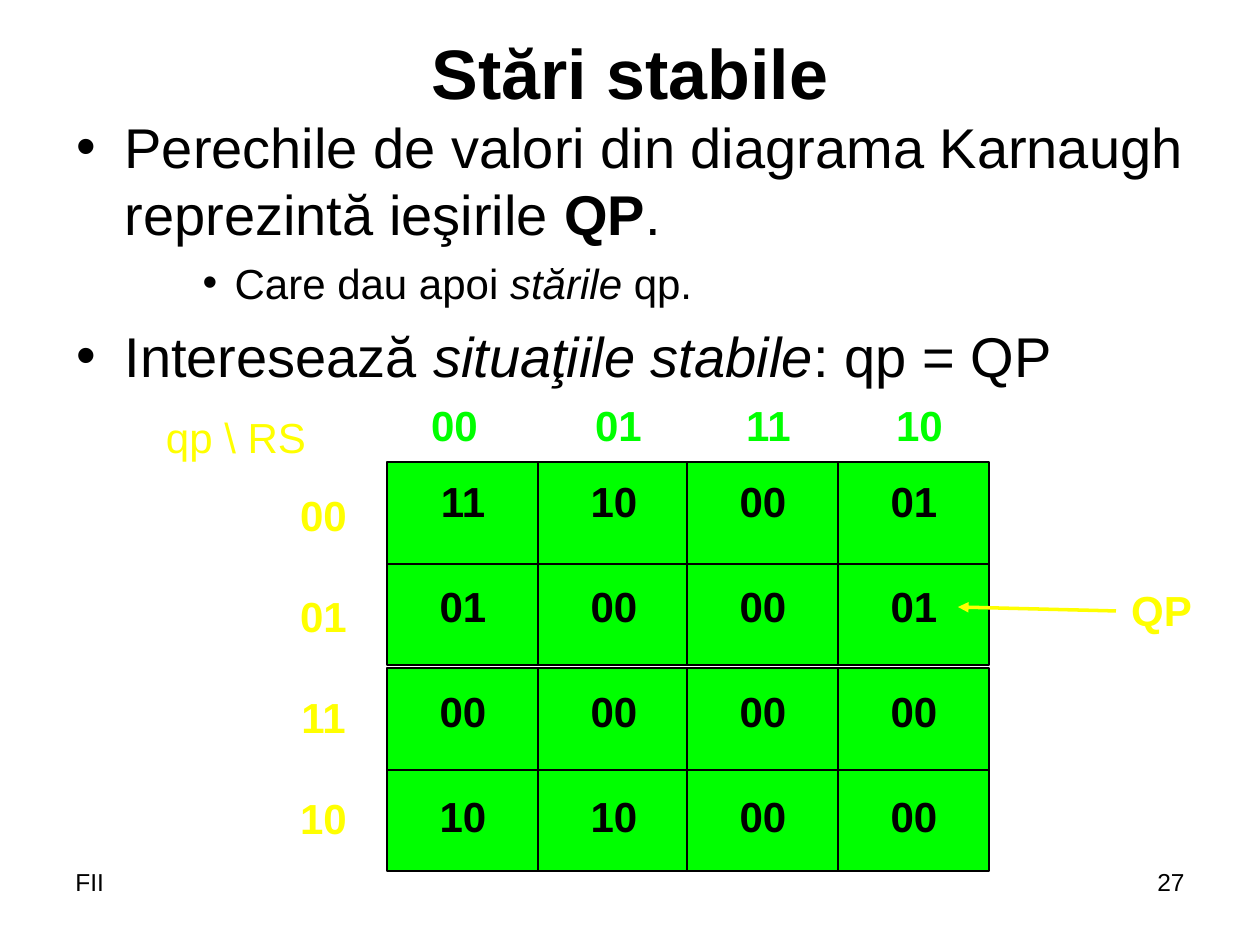
from lxml import etree
from pptx import Presentation
from pptx.dml.color import RGBColor
from pptx.enum.shapes import MSO_CONNECTOR, MSO_SHAPE
from pptx.enum.text import MSO_ANCHOR, MSO_AUTO_SIZE, PP_ALIGN
from pptx.oxml.ns import qn
from pptx.util import Inches, Pt

BLACK = RGBColor(0, 0, 0)
GREEN = RGBColor(0, 255, 0)
YELLOW = RGBColor(255, 255, 0)
LEFT, CENTER, RIGHT = PP_ALIGN.LEFT, PP_ALIGN.CENTER, PP_ALIGN.RIGHT
TOP, MIDDLE = MSO_ANCHOR.TOP, MSO_ANCHOR.MIDDLE
FIXED = MSO_AUTO_SIZE.NONE
RECT, STRAIGHT = MSO_SHAPE.RECTANGLE, MSO_CONNECTOR.STRAIGHT
FONT = "Arial"
SCALE = 914400 / 126

# Values of QP, one row for each state qp
STATES = [
    ["11", "10", "00", "01"],
    ["01", "00", "00", "01"],
    ["00", "00", "00", "00"],
    ["10", "10", "00", "00"],
]
CODES = ["00", "01", "11", "10"]
HALF_X, HALF_Y = (387, 687), (462, 668)
CELL_W, CELL_H = 151, 102

# Each point: level, size, space before, left margin, hang, runs
POINTS = [
    (0, 32, 0, 48, 48, [
        ("Perechile de valori din diagrama Karnaugh reprezintă ieşirile ", ""),
        ("QP", "b"), (".", "")]),
    (2, 24, 6, 158, 32, [
        ("Care dau apoi ", ""), ("stările", "i"), (" qp.", "")]),
    (0, 32, 8, 48, 48, [
        ("Interesează ", ""), ("situaţiile stabile", "i"), (": qp = QP", "")]),
]


def px(n):
    return round(n * SCALE)


def style(font, size, color, bold=False, italic=False):
    font.name, font.size = FONT, Pt(size)
    font.bold, font.italic = bold, italic
    font.color.rgb = color


def place(shape, x, y, w, h):
    shape.left, shape.top = px(x), px(y)
    shape.width, shape.height = px(w), px(h)


def add_title(slide, text):
    title = slide.shapes.title
    place(title, 63, 27, 1134, 89)
    frame = title.text_frame
    frame.text = text
    frame.auto_size, frame.vertical_anchor = FIXED, MIDDLE
    para = frame.paragraphs[0]
    para.alignment = CENTER
    style(para.runs[0].font, 40, BLACK, True)


def add_bullet(para, margin, hang):
    props = para._p.get_or_add_pPr()
    props.set("marL", str(px(margin)))
    props.set("indent", str(-px(hang)))
    color = etree.SubElement(props, qn("a:buClr"))
    etree.SubElement(color, qn("a:srgbClr"), val=str(BLACK))
    etree.SubElement(props, qn("a:buFont"), typeface=FONT)
    etree.SubElement(props, qn("a:buChar"), char="•")


def add_points(slide):
    body = slide.placeholders[1]
    place(body, 64, 106, 1134, 288)
    frame = body.text_frame
    frame.auto_size, frame.vertical_anchor = FIXED, TOP
    for i, (level, size, before, margin, hang, runs) in enumerate(POINTS):
        para = frame.add_paragraph() if i else frame.paragraphs[0]
        para.level = level
        add_bullet(para, margin, hang)
        para.space_before = Pt(before)
        for text, mark in runs:
            run = para.add_run()
            run.text = text
            style(run.font, size, BLACK, mark == "b", mark == "i")


def add_label(slide, text, x, y, w, h, color, size=24, bold=True,
              align=CENTER, anchor=TOP, gap=0):
    """Add a text box; gap is the space in points between its paragraphs."""
    box = slide.shapes.add_textbox(px(x), px(y), px(w), px(h))
    frame = box.text_frame
    frame.word_wrap, frame.vertical_anchor = True, anchor
    frame.text = text
    for i, para in enumerate(frame.paragraphs):
        para.alignment = align
        para.space_before = Pt(gap if i else 0)
        for run in para.runs:
            style(run.font, size, color, bold)
    return box


def add_heads(slide):
    """Add the column codes, each centred on a tab stop."""
    text = "".join("\t" + code for code in CODES)
    box = add_label(slide, text, 402, 393, 572, 63, GREEN, align=LEFT)
    props = box.text_frame.paragraphs[0]._p.get_or_add_pPr()
    tabs = etree.SubElement(props, qn("a:tabLst"))
    for stop in (40, 204, 354, 505):
        etree.SubElement(tabs, qn("a:tab"), pos=str(px(stop)), algn="ctr")


def add_line(slide, x1, y1, x2, y2, color, width):
    line = slide.shapes.add_connector(STRAIGHT, px(x1), px(y1), px(x2), px(y2))
    line.line.color.rgb, line.line.width = color, Pt(width)
    etree.SubElement(line._element.spPr, qn("a:effectLst"))
    return line


def add_block(slide, x, y):
    """Add a block of two by two cells."""
    w, h = 2 * CELL_W, 2 * CELL_H - 1
    rect = slide.shapes.add_shape(RECT, px(x), px(y), px(w), px(h))
    rect.shadow.inherit = False
    rect.fill.solid()
    rect.fill.fore_color.rgb = GREEN
    rect.line.color.rgb, rect.line.width = BLACK, Pt(1)
    add_line(slide, x + CELL_W, y, x + CELL_W, y + h, BLACK, 1)
    add_line(slide, x, y + CELL_H, x + w, y + CELL_H, BLACK, 1)


def add_map(slide):
    for y in reversed(HALF_Y):
        for x in HALF_X:
            add_block(slide, x, y)
    for r, row in enumerate(STATES):
        for c, value in enumerate(row):
            x = HALF_X[c // 2] + c % 2 * CELL_W + 9
            add_label(slide, value, x, 469 + 105 * r, 134, 63, BLACK)


def add_arrow(slide):
    arrow = add_line(slide, 1116, 611, 958, 607, YELLOW, 2)
    stroke = arrow.line._get_or_add_ln()
    etree.SubElement(stroke, qn("a:tailEnd"), type="triangle")


def main():
    deck = Presentation()
    deck.slide_width, deck.slide_height = Inches(10), Inches(7.5)
    slide = deck.slides.add_slide(deck.slide_layouts[1])
    add_title(slide, "Stări stabile")
    add_points(slide)
    add_label(slide, "qp \\ RS", 64, 393, 344, 88, YELLOW,
              bold=False, anchor=MIDDLE)
    add_heads(slide)
    add_map(slide)
    add_label(slide, "\n".join(CODES), 272, 483, 103, 365, YELLOW, gap=29)
    add_arrow(slide)
    add_label(slide, "QP", 1097, 578, 129, 63, YELLOW)
    add_label(slide, "27", 903, 861, 294, 66, BLACK, 14, False, RIGHT)
    add_label(slide, "FII", 63, 861, 294, 66, BLACK, 14, False, LEFT)
    deck.save("out.pptx")


if __name__ == "__main__":
    main()
